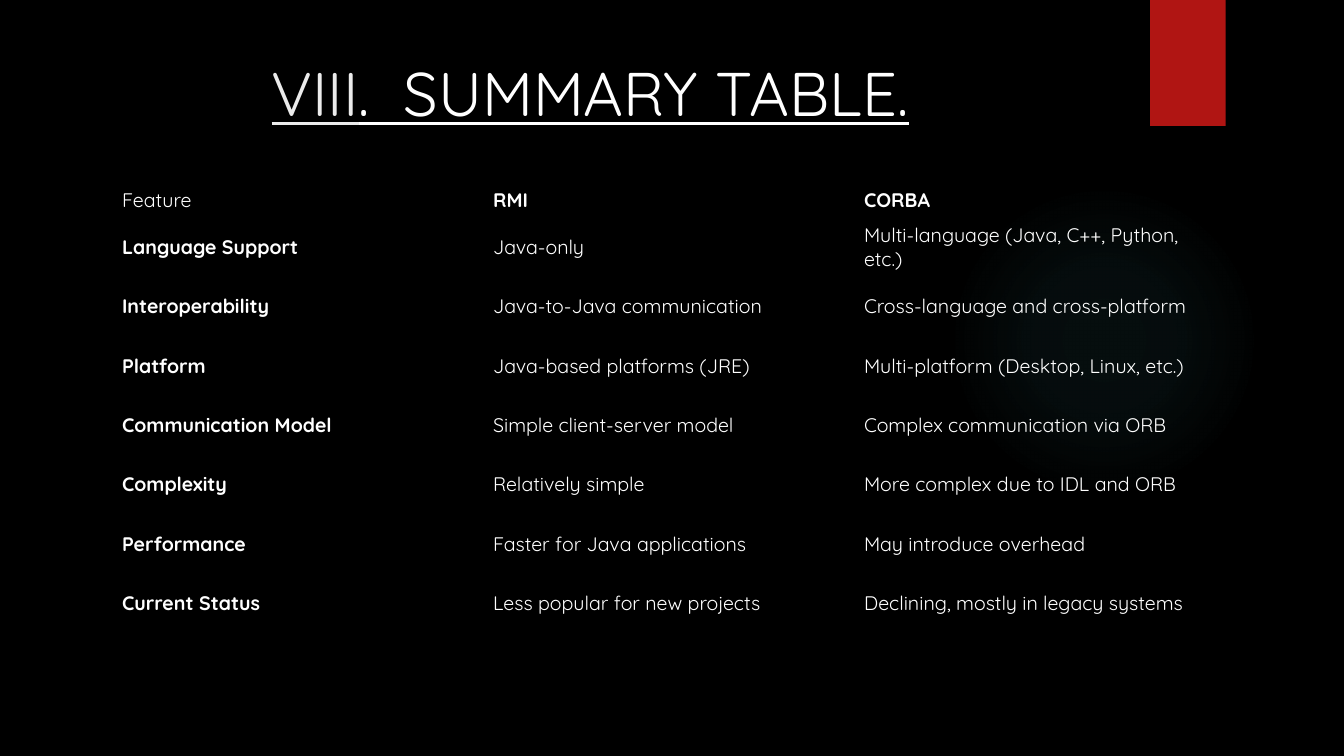
import dataclasses

import pptx
import pptx.dml.color
import pptx.enum.shapes
import pptx.enum.text
import pptx.oxml
import pptx.oxml.ns
import pptx.util

Pt = pptx.util.Pt
Shape = pptx.enum.shapes.MSO_SHAPE
Align = pptx.enum.text.PP_ALIGN
Anchor = pptx.enum.text.MSO_ANCHOR


@dataclasses.dataclass(frozen=True)
class Theme:
    font: str = "Quicksand"
    background: str = "000000"
    text: str = "FFFFFF"
    numeral: str = "EBEBEB"
    ribbon: str = "B01513"
    glow: str = "50B9C1"
    title_size: int = 44
    cell_size: int = 14
    plain_table: str = "{2D5ABB26-0587-4C30-8999-92F81FD0307C}"


THEME = Theme()
GLOW_STOPS = [(0, 7), (36, 6), (69, 0)]
SUMMARY = [
    ("Feature", "RMI", "CORBA"),
    ("Language Support", "Java-only", "Multi-language (Java, C++, Python, etc.)"),
    ("Interoperability", "Java-to-Java communication", "Cross-language and cross-platform"),
    ("Platform", "Java-based platforms (JRE)", "Multi-platform (Desktop, Linux, etc.)"),
    ("Communication Model", "Simple client-server model", "Complex communication via ORB"),
    ("Complexity", "Relatively simple", "More complex due to IDL and ORB"),
    ("Performance", "Faster for Java applications", "May introduce overhead"),
    ("Current Status", "Less popular for new projects", "Declining, mostly in legacy systems"),
]


def rgb(color):
    return pptx.dml.color.RGBColor.from_string(color)


def add_text(para, text, *, size, color=THEME.text, bold=False, underline=False):
    span = para.add_run()
    span.text = text
    span.font.name = THEME.font
    span.font.size = Pt(size)
    span.font.color.rgb = rgb(color)
    span.font.bold = bold
    span.font.underline = underline


def add_plain_shape(page, kind, left, top, width, height):
    shape = page.shapes.add_shape(kind, Pt(left), Pt(top), Pt(width), Pt(height))
    shape.shadow.inherit = False
    shape.line.fill.background()
    return shape


def add_glow(page, left, top, diameter):
    """Add a circle whose translucent colour fades out from its centre."""
    glow = add_plain_shape(page, Shape.OVAL, left, top, diameter, diameter)
    glow.fill.background()
    stops = "".join(
        f'<a:gs pos="{place * 1000}"><a:srgbClr val="{THEME.glow}">'
        f'<a:alpha val="{opacity * 1000}"/></a:srgbClr></a:gs>'
        for place, opacity in GLOW_STOPS
    )
    gradient = pptx.oxml.parse_xml(
        f'<a:gradFill {pptx.oxml.ns.nsdecls("a")} rotWithShape="1"><a:gsLst>{stops}</a:gsLst>'
        '<a:path path="circle"><a:fillToRect l="50000" t="50000" r="50000" b="50000"/>'
        "</a:path></a:gradFill>"
    )
    properties = glow.element.spPr
    properties.replace(properties.find(pptx.oxml.ns.qn("a:noFill")), gradient)


def add_ribbon(page, left, top, width, height):
    ribbon = add_plain_shape(page, Shape.RECTANGLE, left, top, width, height)
    ribbon.fill.solid()
    ribbon.fill.fore_color.rgb = rgb(THEME.ribbon)


def add_title(page, numeral, text, left, top, width, height):
    box = page.shapes.add_textbox(Pt(left), Pt(top), Pt(width), Pt(height))
    box.text_frame.word_wrap = True
    para = box.text_frame.paragraphs[0]
    para.alignment = Align.CENTER
    add_text(para, numeral, size=THEME.title_size, color=THEME.numeral, underline=True)
    add_text(para, text, size=THEME.title_size, underline=True)


def add_summary(page, rows, left, top, column_width, header_height, row_height):
    columns = len(rows[0])
    height = header_height + row_height * (len(rows) - 1)
    frame = page.shapes.add_table(
        len(rows), columns, Pt(left), Pt(top), Pt(column_width * columns), Pt(height)
    )
    table = frame.table
    table.first_row = table.horz_banding = False
    frame.element.find(".//" + pptx.oxml.ns.qn("a:tableStyleId")).text = THEME.plain_table
    for column in table.columns:
        column.width = Pt(column_width)
    for row_index, texts in enumerate(rows):
        table.rows[row_index].height = Pt(row_height if row_index else header_height)
        for column_index, text in enumerate(texts):
            cell = table.cell(row_index, column_index)
            cell.fill.background()
            cell.vertical_anchor = Anchor.MIDDLE
            cell.margin_left = cell.margin_right = Pt(6)
            cell.margin_top = cell.margin_bottom = Pt(3)
            bold = (row_index == 0) != (column_index == 0)
            add_text(cell.text_frame.paragraphs[0], text, size=THEME.cell_size, bold=bold)


def main():
    deck = pptx.Presentation()
    deck.slide_width, deck.slide_height = Pt(960), Pt(540)
    page = deck.slides.add_slide(deck.slide_layouts[6])
    page.background.fill.solid()
    page.background.fill.fore_color.rgb = rgb(THEME.background)
    add_glow(page, 677.5, 132, 222)
    add_ribbon(page, 821.5, 0, 54, 90)
    add_title(page, "VIII", ".  SUMMARY TABLE.", 51, 36, 741, 110)
    add_summary(page, SUMMARY, 81.2, 131, 265, 24.5, 42.35)
    deck.save("out.pptx")


if __name__ == "__main__":
    main()
